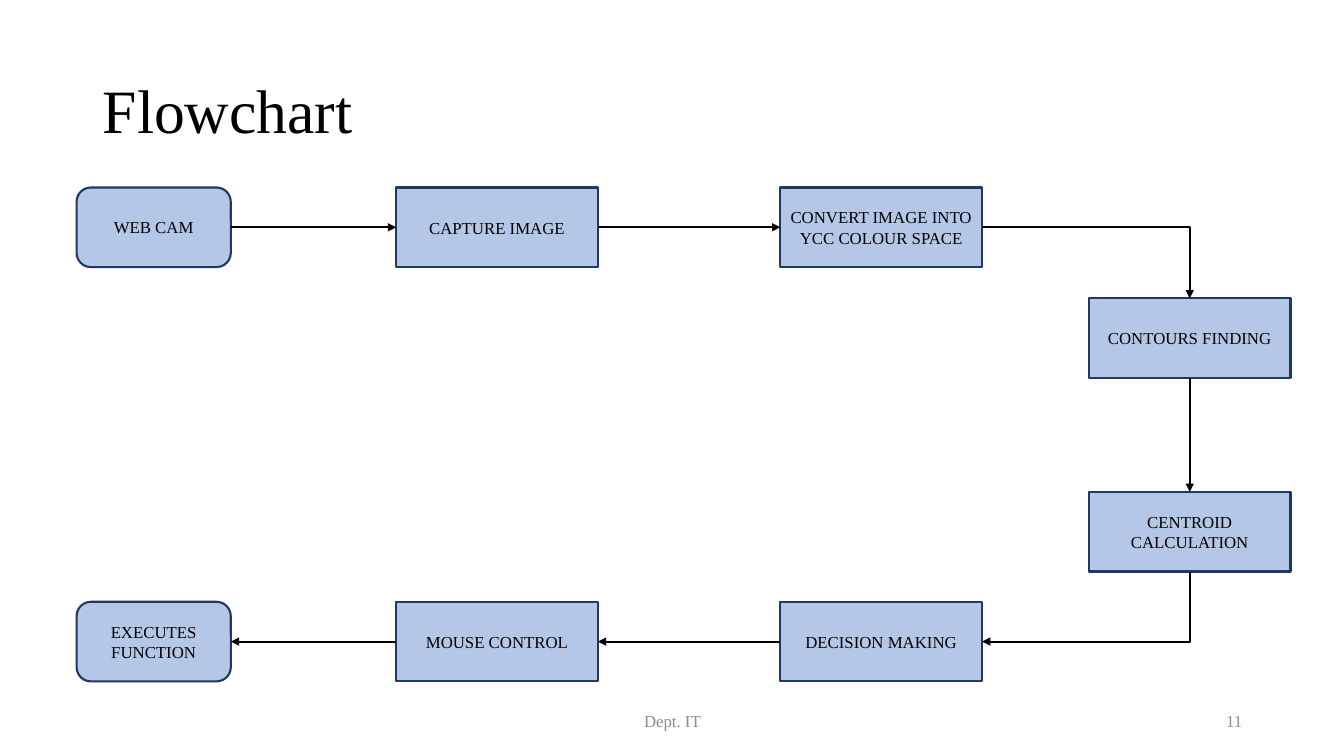
from dataclasses import dataclass

from pptx import Presentation
from pptx.dml.color import RGBColor
from pptx.enum import shapes, text
from pptx.oxml import ns, xmlchemy
from pptx.util import Emu, Pt

SCALE = 9144  # EMU per px, 100 px to the inch
TOP, LEFT, BOTTOM, RIGHT = range(4)  # connection sites of a box


@dataclass(frozen=True)
class Theme:
    font: str = "Times New Roman"
    ink: str = "000000"
    fill: str = "B4C7E7"
    edge: str = "203864"
    grey: str = "8C8C8C"
    head: int = 44
    body: int = 12
    line: float = 1.5


THEME = Theme()


def px(*nums):
    return [Emu(n * SCALE) for n in nums]


def tint(code):
    return RGBColor.from_string(code)


def write(frame, words, size, color, align):
    frame.word_wrap = True
    frame.vertical_anchor = text.MSO_ANCHOR.MIDDLE
    para = frame.paragraphs[0]
    para.alignment = align
    run = para.add_run()
    run.text = words
    run.font.name = THEME.font
    run.font.size = Pt(size)
    run.font.color.rgb = tint(color)
    return para


def title(slide, box, words):
    head = slide.shapes.title
    head.left, head.top, head.width, head.height = px(*box)
    para = write(head.text_frame, words, THEME.head, THEME.ink,
                 text.PP_ALIGN.LEFT)
    para.line_spacing = 0.9


def footer(slide, box, words, number):
    x, y, w, h = box
    parts = [
        (x, 450, words, text.PP_ALIGN.CENTER),
        (x + w - 300, 300, number, text.PP_ALIGN.RIGHT),
    ]
    for left, width, label, align in parts:
        note = slide.shapes.add_textbox(*px(left, y, width, h))
        write(note.text_frame, label, THEME.body, THEME.grey, align)


def step(slide, box, words, kind):
    node = slide.shapes.add_shape(kind, *px(*box))
    if kind == shapes.MSO_SHAPE.ROUNDED_RECTANGLE:
        node.adjustments[0] = 0.18
    node.shadow.inherit = False
    node.fill.solid()
    node.fill.fore_color.rgb = tint(THEME.fill)
    node.line.color.rgb = tint(THEME.edge)
    node.line.width = Pt(THEME.line)
    frame = node.text_frame
    frame.margin_left, frame.margin_right = px(8, 8)
    write(frame, words, THEME.body, THEME.ink, text.PP_ALIGN.CENTER)
    return node


def bend(link, start):
    """Give an elbow one corner; turn it when it starts downwards."""
    props = link._element.spPr
    props.find(ns.qn("a:prstGeom")).set("prst", "bentConnector2")
    if start == BOTTOM:
        x, y, w, h = link.left, link.top, link.width, link.height
        link.left, link.top = x + (w - h) // 2, y + (h - w) // 2
        link.width, link.height = h, w
        frame = props.find(ns.qn("a:xfrm"))
        frame.set("rot", "5400000")
        frame.set("flipH", "0")


def arrow(slide, source, start, target, end):
    straight = start % 2 == end % 2
    kind = shapes.MSO_CONNECTOR.STRAIGHT if straight else shapes.MSO_CONNECTOR.ELBOW
    link = slide.shapes.add_connector(kind, 0, 0, 0, 0)
    link.begin_connect(source, start)
    link.end_connect(target, end)
    if not straight:
        bend(link, start)
    link.line.color.rgb = tint(THEME.ink)
    link.line.width = Pt(THEME.line)
    tip = xmlchemy.OxmlElement("a:tailEnd")
    tip.set("type", "triangle")
    link.line._get_or_add_ln().append(tip)
    link._element.spPr.append(xmlchemy.OxmlElement("a:effectLst"))


def flow(slide, box):
    x, y, w, h = box
    wide, tall, cap = 200, 79, 153
    cols = [x, x + 317, x + 698, x + w - wide]
    low = y + h - tall
    rows = [y, y + 110, low - 109, low]
    pill = shapes.MSO_SHAPE.ROUNDED_RECTANGLE
    work = shapes.MSO_SHAPE.FLOWCHART_PROCESS
    rect = shapes.MSO_SHAPE.RECTANGLE

    # Steps in order: words, column, row, outline
    plan = [
        ("WEB CAM", 0, 0, pill),
        ("CAPTURE IMAGE", 1, 0, work),
        ("CONVERT IMAGE INTO YCC COLOUR SPACE", 2, 0, rect),
        ("CONTOURS FINDING", 3, 1, work),
        ("CENTROID CALCULATION", 3, 2, work),
        ("DECISION MAKING", 2, 3, rect),
        ("MOUSE CONTROL", 1, 3, rect),
        ("EXECUTES FUNCTION", 0, 3, pill),
    ]
    nodes = [
        step(slide, (cols[c], rows[r], cap if kind == pill else wide, tall),
             words, kind)
        for words, c, r, kind in plan
    ]

    # Arrows from each step to the next
    sites = [(RIGHT, LEFT), (RIGHT, LEFT), (RIGHT, TOP), (BOTTOM, TOP),
             (BOTTOM, RIGHT), (LEFT, RIGHT), (LEFT, RIGHT)]
    for source, target, (start, end) in zip(nodes, nodes[1:], sites):
        arrow(slide, source, start, target, end)


def main():
    deck = Presentation()
    deck.slide_width, deck.slide_height = px(1333, 750)
    slide = deck.slides.add_slide(deck.slide_layouts.get_by_name("Title Only"))
    title(slide, (92, 40, 1150, 145), "Flowchart")
    flow(slide, (76, 186, 1204, 490))
    footer(slide, (442, 695, 800, 40), "Dept. IT", "11")
    deck.save("out.pptx")


if __name__ == "__main__":
    main()
